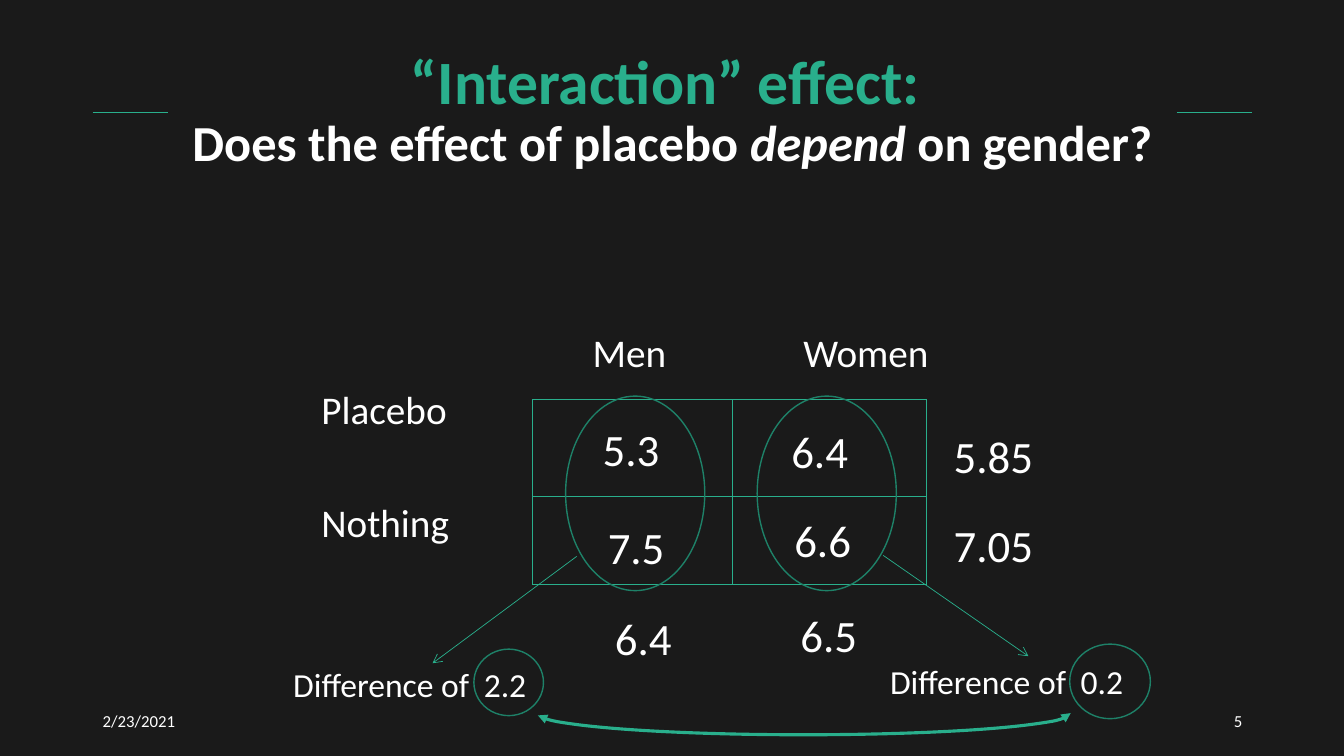
from lxml import etree
from pptx import Presentation
from pptx.dml.color import RGBColor
from pptx.enum.shapes import MSO_CONNECTOR, MSO_SHAPE
from pptx.enum.text import MSO_ANCHOR, MSO_AUTO_SIZE, PP_ALIGN
from pptx.oxml.ns import qn
from pptx.util import Inches, Pt

STRAIGHT = MSO_CONNECTOR.STRAIGHT
OVAL, ARC = MSO_SHAPE.OVAL, MSO_SHAPE.ARC
MIDDLE = MSO_ANCHOR.MIDDLE
LEFT, CENTER, RIGHT = PP_ALIGN.LEFT, PP_ALIGN.CENTER, PP_ALIGN.RIGHT
FONT = "Calibri"
COLORS = {"background": "1A1A1A", "accent": "29AF8C", "ring": "1E8168", "text": "FFFFFF"}


def color(name):
    return RGBColor.from_string(COLORS[name])


def add_text(page, text, left, top, width, height, size, align=LEFT, anchor=None, tab=None):
    """Add one line of text; tab is the distance of a tab stop in inches."""
    box = page.shapes.add_textbox(Inches(left), Inches(top), Inches(width), Inches(height))
    frame = box.text_frame
    frame.word_wrap = True
    if anchor is not None:
        frame.vertical_anchor = anchor
    para = frame.paragraphs[0]
    para.text = text
    para.alignment = align
    if tab:
        stops = etree.SubElement(para._p.get_or_add_pPr(), qn("a:tabLst"))
        etree.SubElement(stops, qn("a:tab"), pos=str(Inches(tab)), algn="l")
    para.font.size = Pt(size)
    para.font.name = FONT
    para.font.color.rgb = color("text")


def add_arrowheads(shape, **heads):
    outline = shape.element.spPr.find(qn("a:ln"))
    for end, kind in heads.items():
        etree.SubElement(outline, qn(f"a:{end}"), type=kind)


def add_line(page, x1, y1, x2, y2):
    line = page.shapes.add_connector(STRAIGHT, Inches(x1), Inches(y1), Inches(x2), Inches(y2))
    line.line.color.rgb = color("accent")
    line.line.width = Pt(0.5)
    etree.SubElement(line.element.spPr, qn("a:effectLst"))
    return line


def add_outline(page, kind, left, top, width, height, line_color, weight):
    """Add an unfilled shape."""
    shape = page.shapes.add_shape(kind, Inches(left), Inches(top), Inches(width), Inches(height))
    shape.fill.background()
    shape.line.color.rgb = color(line_color)
    shape.line.width = Pt(weight)
    shape.shadow.inherit = False
    return shape


def add_heading(page, left, top, width, height):
    title = page.shapes.title
    title.left, title.top = Inches(left), Inches(top)
    title.width, title.height = Inches(width), Inches(height)
    frame = title.text_frame
    frame.auto_size = MSO_AUTO_SIZE.NONE
    frame.word_wrap = True
    frame.vertical_anchor = MIDDLE
    para = frame.paragraphs[0]
    para.alignment = CENTER
    para.line_spacing = 0.9
    para.font.name = FONT
    para.font.bold = True
    for text, size, shade, italic in (
        ("“Interaction” effect: ", 44, "accent", False),
        ("Does the effect of placebo ", 36, "text", False),
        ("depend", 36, "text", True),
        (" on gender?", 36, "text", False),
    ):
        span = para.add_run()
        span.text = text
        span.font.size = Pt(size)
        span.font.color.rgb = color(shade)
        span.font.italic = italic
        if size == 44:
            para.add_line_break()
    for start in (left - 0.75, left + width):
        add_line(page, start, top + 0.74, start + 0.75, top + 0.74)


def add_means_grid(page, left, top, width, height):
    """Draw the two-by-two grid with its labels, cell means and margins."""
    right, bottom = left + width, top + height
    for x in (left, left + 1.98, right):
        add_line(page, x, top, x, bottom)
    for y in (top, top + 0.96, bottom):
        add_line(page, left, y, right, y)

    for label, x, y in (
        ("Men", 0.5, -0.75),
        ("Women", 2.59, -0.75),
        ("Placebo", -2.19, -0.19),
        ("Nothing", -2.19, 0.93),
    ):
        add_text(page, label, left + x, top + y, 1.6, 0.57, 28)

    for mean, x, y in (
        ("5.3", 0.6, 0.17), ("6.4", 2.47, 0.19), ("5.85", 4.08, 0.24),
        ("7.5", 0.65, 1.15), ("6.6", 2.5, 1.08), ("7.05", 4.08, 1.13),
        ("6.4", 0.72, 2.05), ("6.5", 2.56, 2.02),
    ):
        add_text(page, mean, left + x, top + y, 1.1, 0.64, 32)

    for x in (0.33, 2.23):
        add_outline(page, OVAL, left + x, top - 0.03, 1.38, 1.93, "ring", 1)


def add_difference(page, left, top, value, arrow, ring):
    """Label one column's difference, with an arrow to it and a ring on its value."""
    add_text(page, f"Difference of\t{value}", left, top, 2.9, 0.5, 24, tab=1.89)
    add_arrowheads(add_line(page, *arrow), tailEnd="arrow")
    add_outline(page, OVAL, *ring, "ring", 1)


def add_comparison_arc(page, left, top, width, height):
    arc = add_outline(page, ARC, left, top, width, height, "accent", 2.25)
    arc.adjustments[0] = 0
    arc.adjustments[1] = 107.7
    add_arrowheads(arc, headEnd="triangle", tailEnd="triangle")


def add_footer(page, left, top, width, height):
    add_text(page, "2/23/2021", left, top, 3, height, 12, anchor=MIDDLE)
    add_text(page, "5", left + width - 3, top, 3, height, 12, RIGHT, MIDDLE)


def main():
    deck = Presentation()
    deck.slide_width, deck.slide_height = Inches(13.33), Inches(7.5)
    page = deck.slides.add_slide(deck.slide_layouts[5])
    page.background.fill.solid()
    page.background.fill.fore_color.rgb = color("background")
    add_heading(page, 1.67, 0.37, 10, 1.48)
    add_means_grid(page, 5.28, 3.96, 3.91, 1.84)
    add_difference(page, 2.81, 6.54, "2.2", (5.72, 5.52, 4.29, 6.58), (4.7, 6.44, 0.69, 0.66))
    add_difference(page, 8.73, 6.51, "0.2", (8.76, 5.51, 10.2, 6.51), (10.61, 6.39, 0.8, 0.74))
    add_comparison_arc(page, 5.32, 6.86, 5.3, 0.43)
    add_footer(page, 0.92, 6.95, 11.5, 0.4)
    deck.save("out.pptx")


if __name__ == "__main__":
    main()
